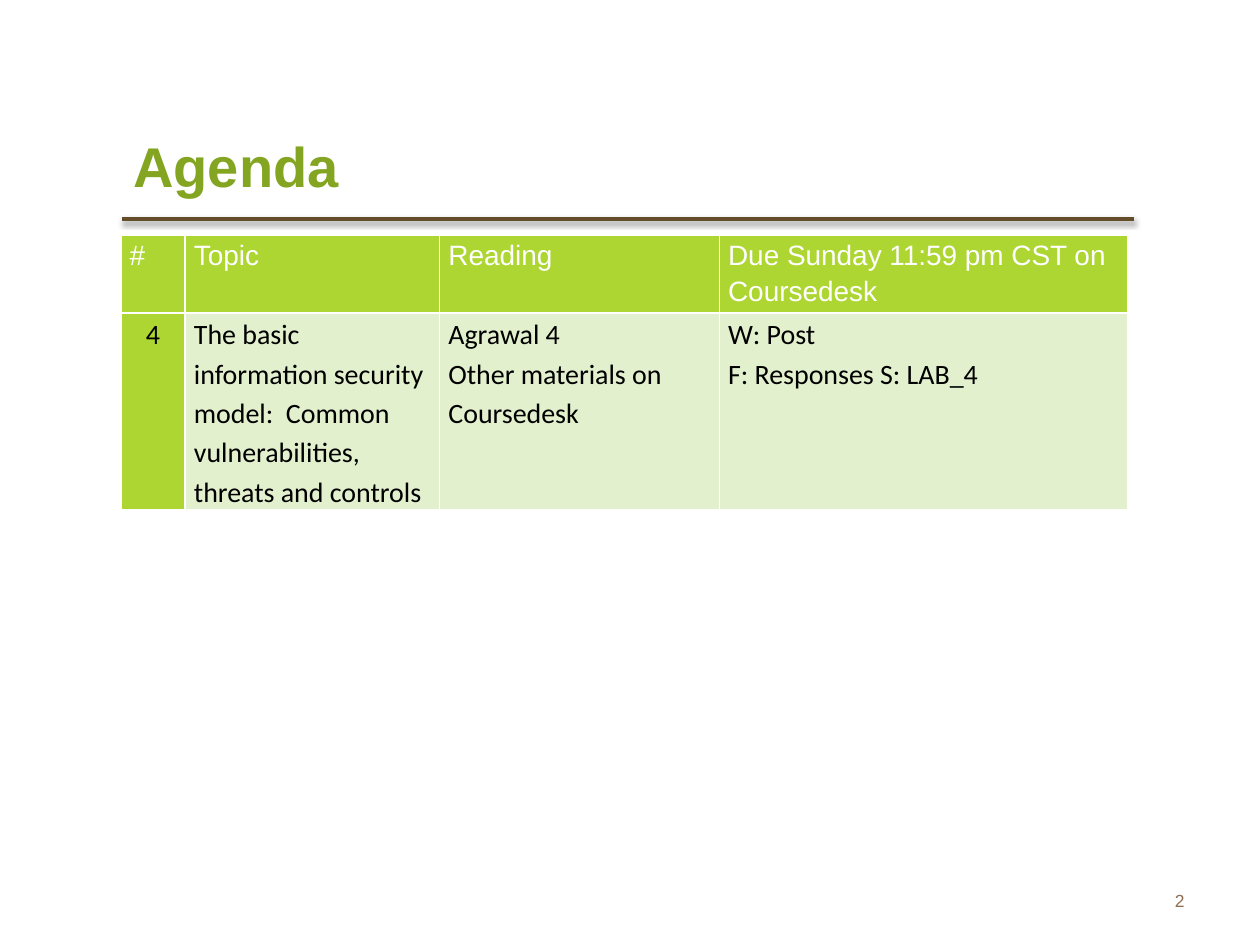
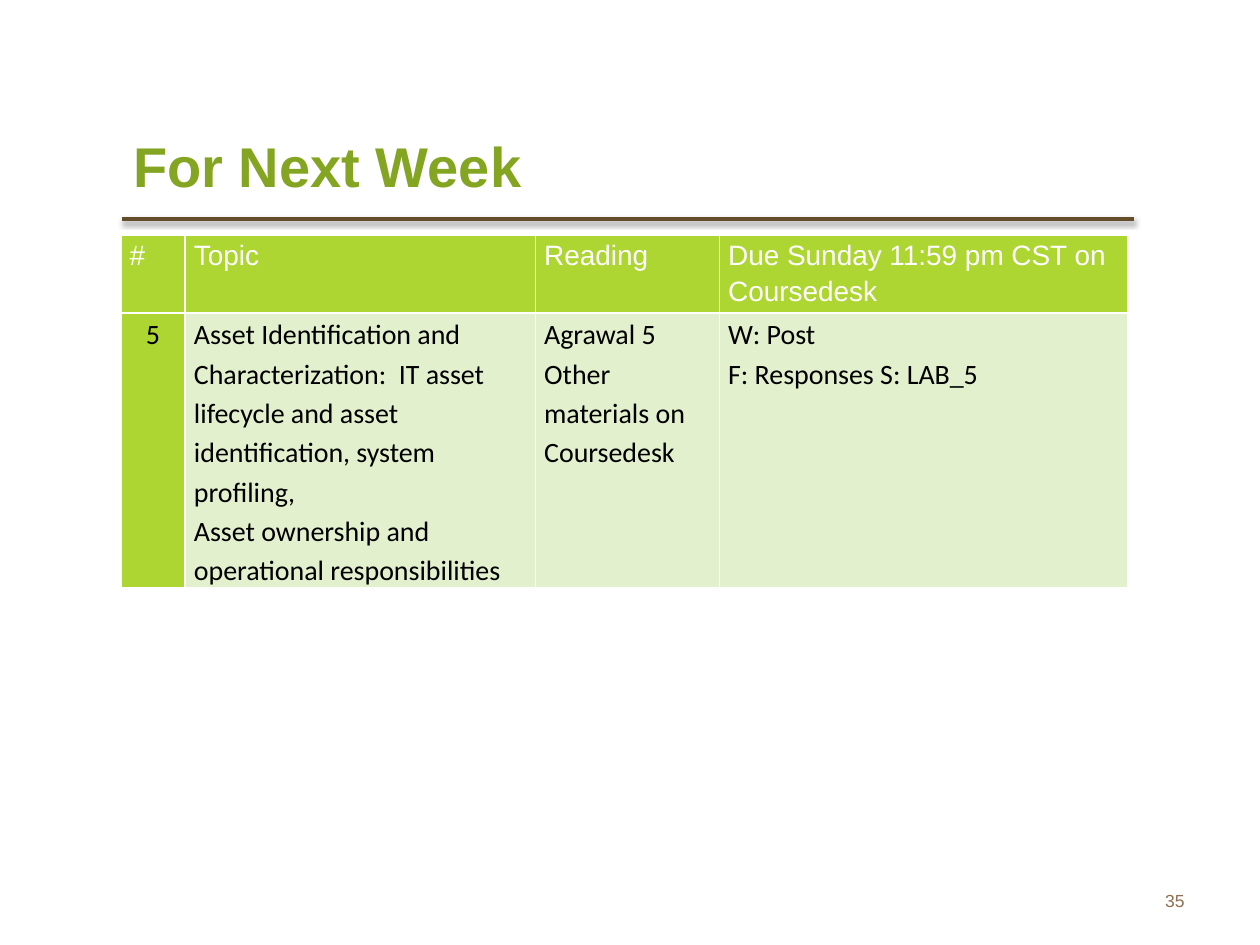
from dataclasses import dataclass

from lxml import etree
from pptx import Presentation
from pptx import util as u
from pptx.dml.color import RGBColor
from pptx.enum import shapes, text
from pptx.oxml import parse_xml
from pptx.oxml.ns import nsdecls, qn
from pptx.slide import Slide
from pptx.table import _Cell
from pptx.text.text import TextFrame

WHITE, BLACK = "FFFFFF", "000000"
TITLE_GREEN, BAND_GREEN, PALE_GREEN = "84A521", "ADD632", "E3F0CE"
RULE_BROWN, NUMBER_BROWN = "634D2A", "8F6F52"

HEADINGS = ("#", "Topic", "Reading", "Due Sunday 11:59 pm CST on Coursedesk")
HEADER_HEIGHT = 0.56


@dataclass(frozen=True)
class WeekSlide:
    title: str
    page: int
    week: int
    topic: str
    column_widths: tuple[float, ...]
    body_height: float

    @property
    def entries(self) -> tuple[str, ...]:
        return (
            str(self.week),
            self.topic,
            f"Agrawal {self.week}\nOther materials on Coursedesk",
            f"W: Post\nF: Responses S: LAB_{self.week}",
        )


WEEK_SLIDES = (
    WeekSlide(
        "Agenda", 2, 4,
        "The basic information security model:  Common vulnerabilities, threats and controls",
        (0.51, 2.02, 2.22, 3.24), 1.56,
    ),
    WeekSlide(
        "For Next Week", 35, 5,
        "Asset Identification and Characterization:  IT asset lifecycle and asset "
        "identification, system profiling,\nAsset ownership and operational responsibilities",
        (0.51, 2.78, 1.46, 3.24), 2.18,
    ),
)


def rgb(color: str) -> RGBColor:
    return RGBColor.from_string(color)


def write(frame: TextFrame, content: str, *, size: float, color: str, font: str = "Arial",
          bold: bool = False, align: text.PP_ALIGN = text.PP_ALIGN.LEFT,
          spacing: float = 1.0) -> None:
    """Fill a text frame, one paragraph for each line of content."""
    frame.word_wrap = True
    for index, line in enumerate(content.split("\n")):
        paragraph = frame.add_paragraph() if index else frame.paragraphs[0]
        paragraph.alignment = align
        paragraph.line_spacing = spacing
        run = paragraph.add_run()
        run.text = line
        run.font.name = font
        run.font.size = u.Pt(size)
        run.font.bold = bold
        run.font.color.rgb = rgb(color)


def add_label(slide: Slide, content: str, left: float, top: float, width: float,
              height: float, **text_format) -> None:
    box = slide.shapes.add_textbox(*map(u.Inches, (left, top, width, height)))
    box.text_frame.vertical_anchor = text.MSO_ANCHOR.MIDDLE
    write(box.text_frame, content, **text_format)


def add_title_rule(slide: Slide) -> None:
    rule = slide.shapes.add_connector(
        shapes.MSO_CONNECTOR.STRAIGHT, *map(u.Inches, (0.97, 1.74, 9, 1.74)))
    rule.line.color.rgb = rgb(RULE_BROWN)
    rule.line.width = u.Pt(2)
    rule._element.spPr.append(parse_xml(
        f'<a:effectLst {nsdecls("a")}>'
        f'<a:outerShdw blurRad="{u.Pt(3.1)}" dist="{u.Pt(1.6)}" dir="5400000" rotWithShape="0">'
        f'<a:srgbClr val="{BLACK}"><a:alpha val="38000"/></a:srgbClr>'
        '</a:outerShdw></a:effectLst>'))


def set_borders(cell: _Cell, color: str, width: float) -> None:
    properties = cell._tc.get_or_add_tcPr()
    for side in ("a:lnL", "a:lnR", "a:lnT", "a:lnB"):
        line = etree.SubElement(properties, qn(side), w=str(u.Pt(width)))
        fill = etree.SubElement(line, qn("a:solidFill"))
        etree.SubElement(fill, qn("a:srgbClr"), val=color)


def style_cell(cell: _Cell, fill: str) -> None:
    cell.margin_left = cell.margin_right = u.Inches(0.07)
    cell.margin_top = cell.margin_bottom = 0
    set_borders(cell, WHITE, 1)
    cell.fill.solid()
    cell.fill.fore_color.rgb = rgb(fill)


def add_schedule(slide: Slide, week: WeekSlide) -> None:
    heights = (HEADER_HEIGHT, week.body_height)
    widths = week.column_widths
    table = slide.shapes.add_table(
        len(heights), len(widths),
        *map(u.Inches, (0.96, 1.87, sum(widths), sum(heights)))).table
    for row, height in zip(table.rows, heights):
        row.height = u.Inches(height)
    for index, width in enumerate(widths):
        table.columns[index].width = u.Inches(width)
        is_number = index == 0

        heading = table.cell(0, index)
        style_cell(heading, BAND_GREEN)
        write(heading.text_frame, HEADINGS[index], size=16, color=WHITE, spacing=1.15)

        entry = table.cell(1, index)
        style_cell(entry, BAND_GREEN if is_number else PALE_GREEN)
        write(entry.text_frame, week.entries[index], size=16, color=BLACK, font="Calibri",
              align=text.PP_ALIGN.CENTER if is_number else text.PP_ALIGN.LEFT, spacing=1.15)


def add_week_slide(presentation, week: WeekSlide) -> None:
    slide = presentation.slides.add_slide(presentation.slide_layouts[6])
    add_title_rule(slide)
    add_label(slide, str(week.page), 7.17, 6.95, 2.33, 0.4,
              size=10, color=NUMBER_BROWN, align=text.PP_ALIGN.RIGHT)
    add_label(slide, week.title, 0.96, 0.86, 5.77, 0.9,
              size=32, color=TITLE_GREEN, bold=True)
    add_schedule(slide, week)


def main() -> None:
    presentation = Presentation()
    presentation.slide_width = u.Inches(10)
    presentation.slide_height = u.Inches(7.5)
    for week in WEEK_SLIDES:
        add_week_slide(presentation, week)
    presentation.save("out.pptx")


if __name__ == "__main__":
    main()
